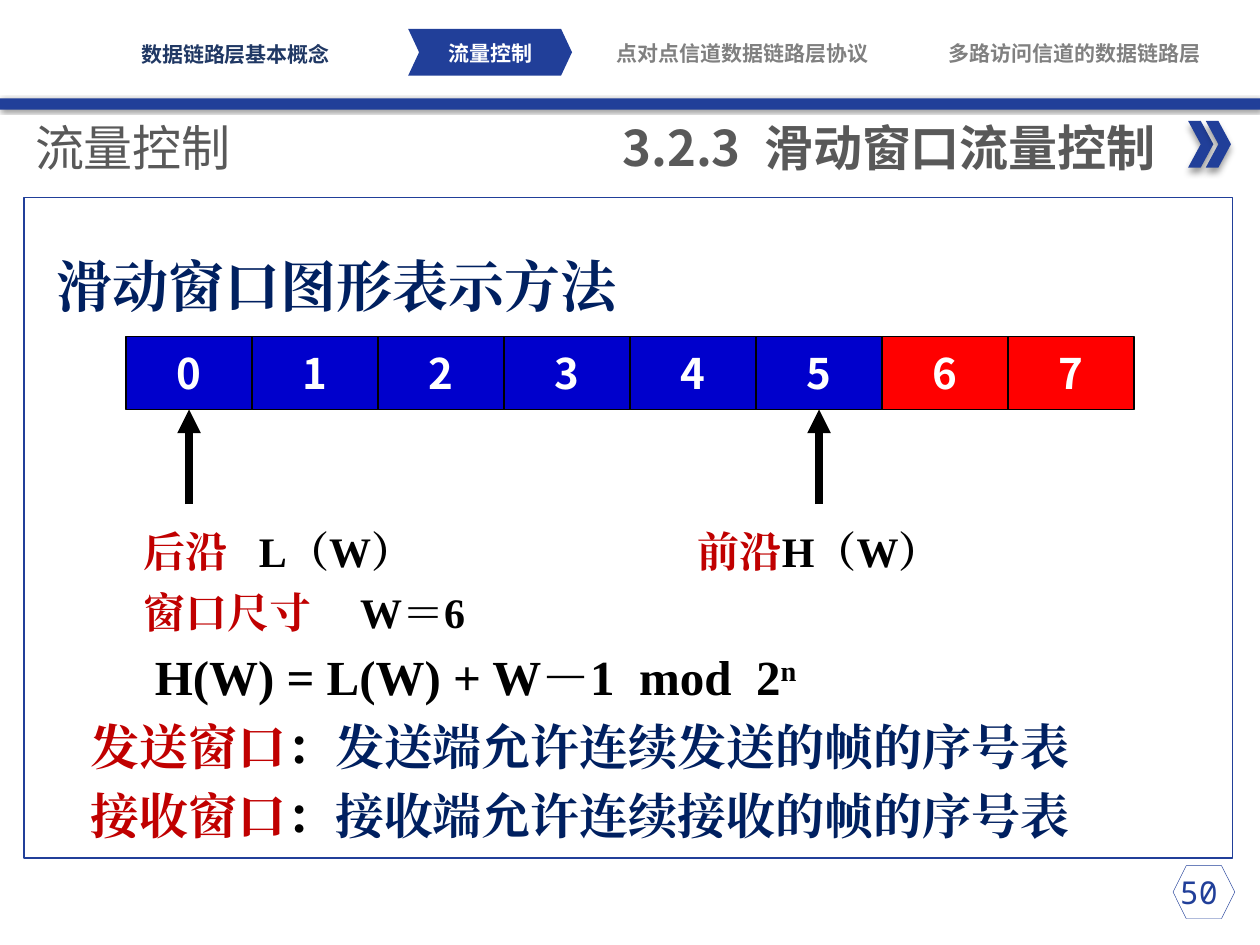
from lxml import etree
from pptx import Presentation
from pptx.dml.color import RGBColor
from pptx.enum.shapes import MSO_CONNECTOR, MSO_SHAPE
from pptx.enum.text import MSO_ANCHOR, PP_ALIGN
from pptx.oxml.ns import qn
from pptx.util import Inches, Pt

BLUE, NAVY, RED, BLACK, WHITE = "213F99", "002060", "C00000", "000000", "FFFFFF"
GREY, DARK_GREY = "808080", "595959"
SANS, SERIF, MONO, NAV_FONT = "Noto Sans CJK SC", "Times New Roman", "Noto Sans Mono", "Roboto Condensed"

NAV = [
    ("数据链路层基本概念", 0.92, 0.33, 1.9, "203864"),
    ("流量控制", 3.24, 0.32, 1.3, WHITE),
    ("点对点信道数据链路层协议", 4.79, 0.32, 2.21, GREY),
    ("多路访问信道的数据链路层", 7.51, 0.32, 2.04, GREY),
]
SECTION = [("流量控制", DARK_GREY)]
TOPIC = [("3.2.3", DARK_GREY), (" ", DARK_GREY), ("滑动窗口流量控制", DARK_GREY)]
HEADING = [("滑动窗口图形表示方法", NAVY)]
LINES = [
    (24, 118, [0.69, 5.09], [("\t后沿 ", RED), (" ", BLACK), ("L（W）\t", BLACK), ("前沿", RED), ("H（W）", BLACK)]),
    (24, 6, [0.69, 2.41], [("\t窗口尺寸", RED), ("\tW＝6", BLACK)]),
    (28, 6, [0.78], [("\tH(W) = L(W) + W－1", BLACK), (" ", BLACK), ("mod", BLACK), (" ", BLACK),
                     ("2", BLACK), ("n", BLACK, 30000)]),
    (28, 6, [0.27], [("\t发送窗口", RED), ("：", BLACK), ("发送端允许连续发送的帧的序号表", NAVY)]),
    (28, 6, [0.27], [("\t接收窗口", RED), ("：", BLACK), ("接收端允许连续接收的帧的序号表", NAVY)]),
]
FRAME_COUNT, WINDOW_SIZE = 8, 6
CELL_LEFT, CELL_TOP, CELL_WIDTH, CELL_HEIGHT = 1, 2.67, 1, 0.58
EDGES = [0, WINDOW_SIZE - 1]
ARROW_LENGTH = 0.75

deck = Presentation()
deck.slide_width, deck.slide_height = Inches(10), Inches(7.5)
slide = deck.slides.add_slide(deck.slide_layouts[6])


def rgb(value):
    return RGBColor.from_string(value)


def add_child(parent, tag, **attributes):
    return etree.SubElement(parent, qn(tag), {key: str(value) for key, value in attributes.items()})


def add_shape(kind, box, fill=None, line=None, weight=0.75):
    shape = slide.shapes.add_shape(kind, *map(Inches, box))
    shape.shadow.inherit = False
    if fill:
        shape.fill.solid()
        shape.fill.fore_color.rgb = rgb(fill)
    else:
        shape.fill.background()
    if line:
        shape.line.color.rgb = rgb(line)
        shape.line.width = Pt(weight)
    else:
        shape.line.fill.background()
    return shape


def cast_shadow(shape, blur, distance, angle):
    effects = shape.element.spPr.find(qn("a:effectLst"))
    shadow = add_child(effects, "a:outerShdw", blurRad=Pt(blur), dist=Pt(distance),
                       dir=angle * 60000, algn="t", rotWithShape=0)
    color = add_child(shadow, "a:srgbClr", val=BLACK)
    add_child(color, "a:alpha", val=40000)


def write(paragraph, runs, font, size, bold=True, align=PP_ALIGN.LEFT):
    paragraph.alignment = align
    for text, color, *baseline in runs:
        run = paragraph.add_run()
        run.text = text
        run.font.name, run.font.size, run.font.bold = font, Pt(size), bold
        run.font.color.rgb = rgb(color)
        properties = run.font._element
        add_child(properties, "a:ea", typeface=font)
        if text == " ":
            properties.set("spc", str(size * 25))
        if baseline:
            properties.set("baseline", str(baseline[0]))


def add_text(box, runs, font, size, bold=True, align=PP_ALIGN.LEFT, anchor=MSO_ANCHOR.TOP, inset=None):
    frame = slide.shapes.add_textbox(*map(Inches, box)).text_frame
    frame.word_wrap = True
    frame.vertical_anchor = anchor
    if inset is not None:
        frame.margin_left = frame.margin_right = frame.margin_top = frame.margin_bottom = Inches(inset)
    write(frame.paragraphs[0], runs, font, size, bold, align)
    return frame


def set_tabs(paragraph, stops):
    tabs = add_child(paragraph._p.get_or_add_pPr(), "a:tabLst")
    for stop in stops:
        add_child(tabs, "a:tab", pos=Inches(stop), algn="l")


cast_shadow(add_shape(MSO_SHAPE.RECTANGLE, (0, 0.78, 10, 0.09), BLUE), 2, 1, 45)
add_text((9.08, 6.88, 0.87, 0.4), [("50", BLUE)], MONO, 18, False, PP_ALIGN.CENTER)
add_shape(MSO_SHAPE.HEXAGON, (9.31, 6.87, 0.49, 0.42), line=BLUE, weight=0.25)
for left in (9.43, 9.57):
    cast_shadow(add_shape(MSO_SHAPE.CHEVRON, (left, 0.96, 0.2, 0.37), BLUE), 4, 3, 90)
add_shape(MSO_SHAPE.RECTANGLE, (0.19, 1.57, 9.59, 5.24), line=BLUE)

body = add_text((0.35, 1.68, 9.29, 5), HEADING, SERIF, 32)
body.paragraphs[0].line_spacing = 1.5
for size, space, stops, runs in LINES:
    paragraph = body.add_paragraph()
    paragraph.space_before = Pt(space)
    set_tabs(paragraph, stops)
    write(paragraph, runs, SERIF, size)

current = add_shape(MSO_SHAPE.CHEVRON, (3.24, 0.23, 1.3, 0.37), BLUE)
current.adjustments[0] = 0.234
for text, left, top, width, color in NAV:
    add_text((left, top, width, 0.2), [(text, color)], NAV_FONT, 12,
             align=PP_ALIGN.CENTER, anchor=MSO_ANCHOR.MIDDLE, inset=0)
add_text((0.18, 0.92, 2.41, 0.49), SECTION, SANS, 28, False, anchor=MSO_ANCHOR.MIDDLE)
add_text((4.3, 0.88, 4.97, 0.57), TOPIC, SANS, 28, align=PP_ALIGN.RIGHT)

for number in range(FRAME_COUNT):
    fill = "0000CC" if number < WINDOW_SIZE else "FF0000"
    cell = add_shape(MSO_SHAPE.RECTANGLE,
                     (CELL_LEFT + number * CELL_WIDTH, CELL_TOP, CELL_WIDTH, CELL_HEIGHT), fill, BLACK)
    cell.text_frame.word_wrap = False
    cell.text_frame.vertical_anchor = MSO_ANCHOR.MIDDLE
    write(cell.text_frame.paragraphs[0], [(str(number), WHITE)], SANS, 24, align=PP_ALIGN.CENTER)

for edge in EDGES:
    x = Inches(CELL_LEFT + (edge + 0.5) * CELL_WIDTH)
    tip = CELL_TOP + CELL_HEIGHT
    arrow = slide.shapes.add_connector(MSO_CONNECTOR.STRAIGHT, x, Inches(tip + ARROW_LENGTH), x, Inches(tip))
    arrow.line.color.rgb = rgb(BLACK)
    arrow.line.width = Pt(4.5)
    add_child(arrow.line._get_or_add_ln(), "a:tailEnd", type="triangle")
    add_child(arrow._element.spPr, "a:effectLst")

deck.save("out.pptx")
